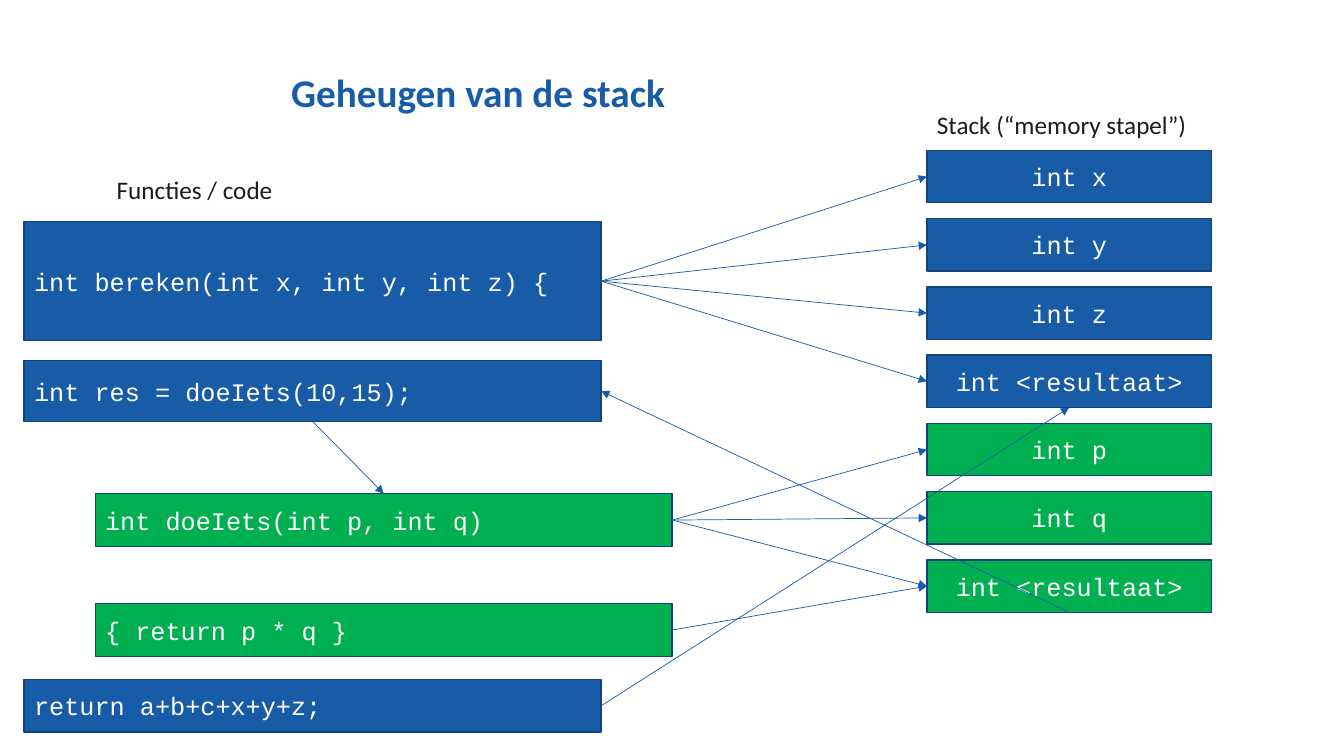
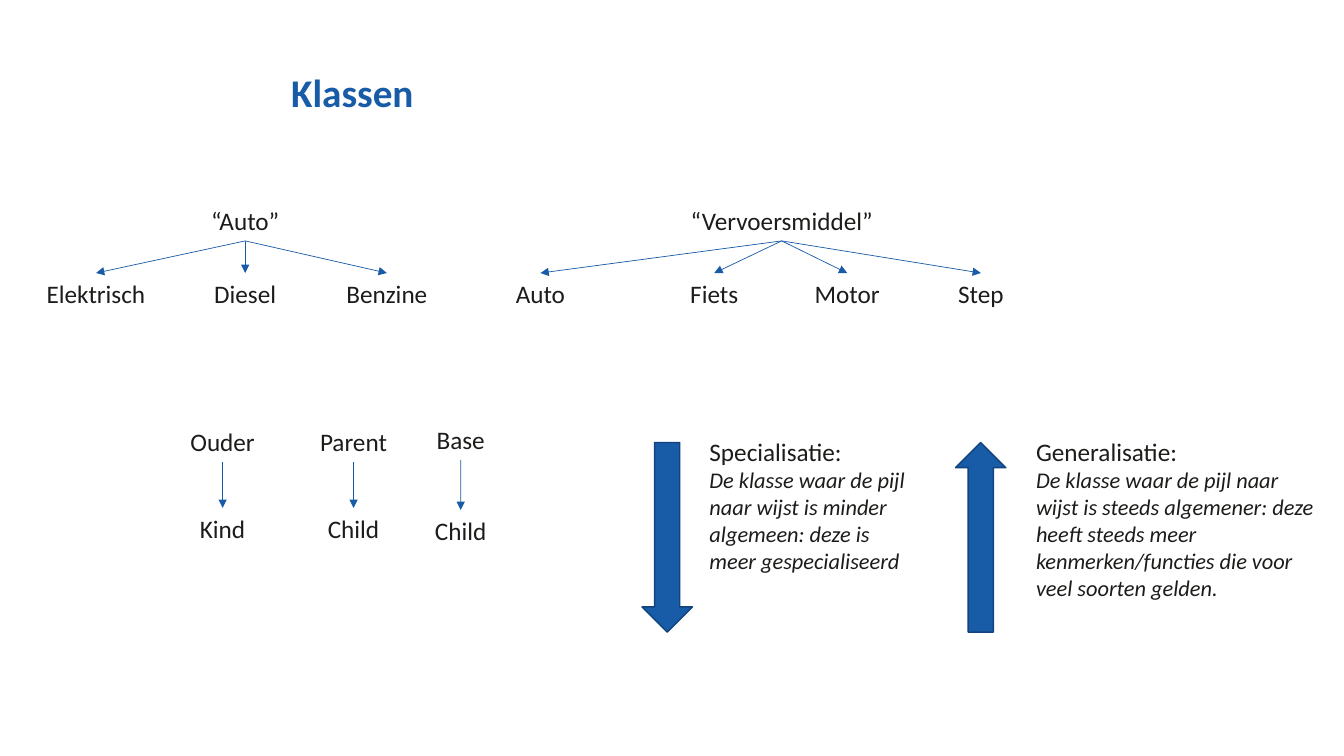
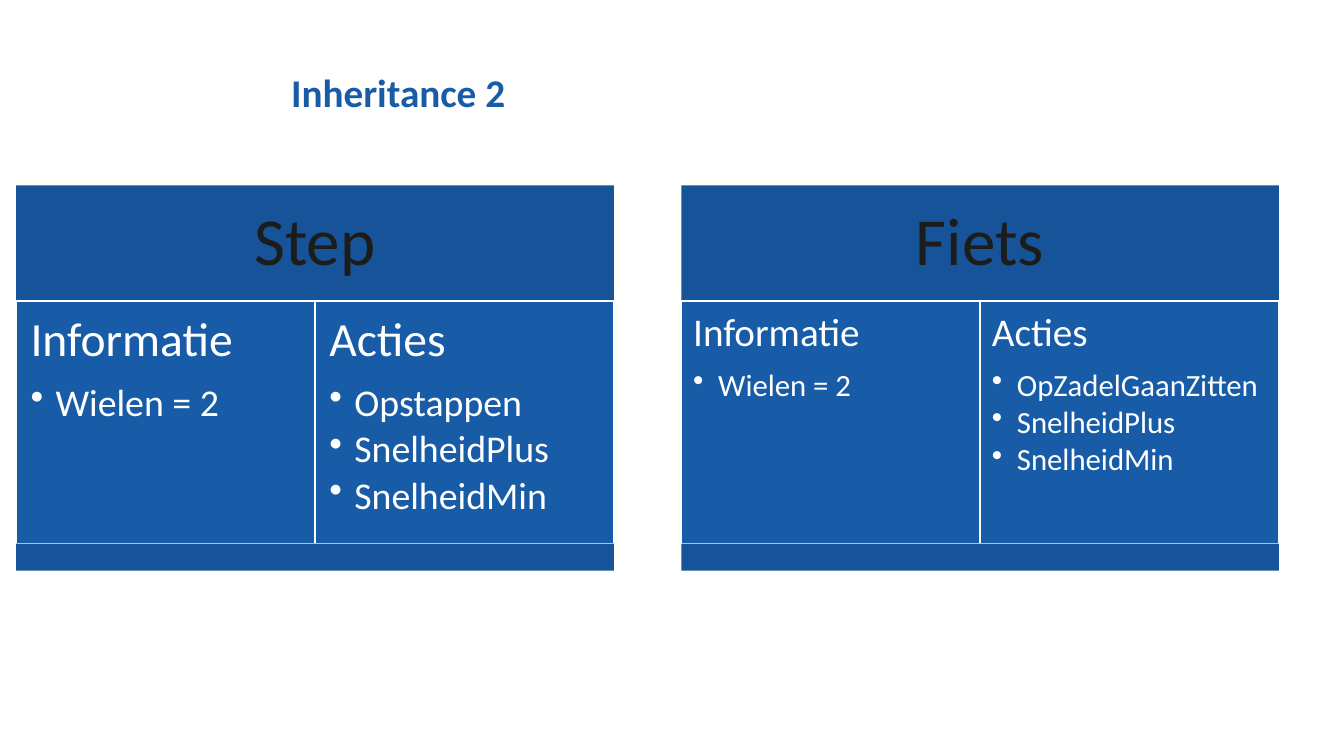
import pptx
import pptx.dml.color
import pptx.enum.shapes
import pptx.enum.text
import pptx.oxml
import pptx.oxml.ns
import pptx.util

Cm = pptx.util.Cm
Pt = pptx.util.Pt
KIND = pptx.enum.shapes.MSO_SHAPE
ALIGN = pptx.enum.text.PP_ALIGN
ANCHOR = pptx.enum.text.MSO_ANCHOR

HUES = {
    "blue": "185BA7",
    "edge": "12437C",
    "deep": "165398",
    "green": "00B050",
    "ink": "1C1C1A",
    "white": "FFFFFF",
}
BODY, CODE = "Calibri", "Courier New"
TOP, LEFT, BOTTOM, RIGHT = range(4)


def hue(name):
    return pptx.dml.color.RGBColor.from_string(HUES[name])


def apply(item, vals):
    for key, val in vals.items():
        setattr(item, key, val)


def node(tag, **vals):
    made = pptx.oxml.parse_xml(f"<a:{tag} {pptx.oxml.ns.nsdecls('a')}/>")
    for key, val in vals.items():
        made.set(key, str(val))
    return made


def line(text, size=18, color="ink", font=BODY, bullet=False, para=None, **face):
    return {"text": text, "color": color, "bullet": bullet, "para": para or {},
            "font": {"size": Pt(size), "name": font, **face}}


def write(shape, lines, inset=None, **frame):
    body = shape.text_frame
    apply(body, {"word_wrap": True, "vertical_anchor": ANCHOR.TOP, **frame})
    if inset is not None:
        sides = ("left", "top", "right", "bottom")
        apply(body, {f"margin_{side}": Cm(inset) for side in sides})
    for num, item in enumerate(lines):
        para = body.add_paragraph() if num else body.paragraphs[0]
        apply(para, {"alignment": ALIGN.LEFT, **item["para"]})
        if item["bullet"]:
            props = para._p.get_or_add_pPr()
            props.set("marL", str(Cm(0.63)))
            props.set("indent", str(-Cm(0.63)))
            props.append(node("buChar", char="•"))
        run = para.add_run()
        run.text = item["text"]
        apply(run.font, item["font"])
        run.font.color.rgb = hue(item["color"])


def label(slide, spot, lines, **frame):
    box = slide.shapes.add_textbox(*map(Cm, spot))
    write(box, lines, **frame)
    return box


def block(slide, spot, fill, edge=None, kind=KIND.RECTANGLE):
    shape = slide.shapes.add_shape(kind, *map(Cm, spot))
    shape.shadow.inherit = False
    shape.fill.solid()
    shape.fill.fore_color.rgb = hue(fill)
    if edge:
        shape.line.color.rgb = hue(edge)
        shape.line.width = Pt(1)
    else:
        shape.line.fill.background()
    return shape


def arrow(slide, start, out, end, into):
    link = slide.shapes.add_connector(
        pptx.enum.shapes.MSO_CONNECTOR.STRAIGHT, 0, 0, 0, 0)
    link.begin_connect(start, out)
    link.end_connect(end, into)
    link.line.color.rgb = hue("blue")
    link.line.width = Pt(0.5)
    props = link.element.spPr
    props.find(pptx.oxml.ns.qn("a:ln")).append(node("tailEnd", type="triangle"))
    props.append(node("effectLst"))


def page(deck, title):
    slide = deck.slides.add_slide(deck.slide_layouts[6])
    text = line(title, 28, "blue", bold=True, para={"line_spacing": 0.9})
    label(slide, (7.34, 1.9, 23.85, 0.97), [text], inset=0,
          vertical_anchor=ANCHOR.MIDDLE)
    return slide


def bar(slide, spot, text, fill, align=ALIGN.LEFT):
    shape = block(slide, spot, fill, "edge")
    write(shape, [line(text, 18, "white", CODE, para={"alignment": align})],
          vertical_anchor=ANCHOR.MIDDLE)
    return shape


def stack(deck):
    slide = page(deck, "Geheugen van de stack")
    label(slide, (2.69, 4.27, 4.5, 1.02), [line("Functies / code")], word_wrap=False)
    label(slide, (23.36, 2.64, 6.86, 1.02), [line("Stack (“memory stapel”)")],
          word_wrap=False)

    rows = [
        ("int bereken(int x, int y, int z) {", "blue", 5.59, 2.99),
        ("int res = doeIets(10,15);", "blue", 9.09, 1.53),
        ("int doeIets(int p, int q)", "green", 12.44, 1.33),
        ("{ return p * q }", "green", 15.21, 1.33),
        ("return a+b+c+x+y+z;", "blue", 17.12, 1.33),
    ]
    lefts = {"blue": 0.61, "green": 2.4}
    calc, call, func, give, done = [
        bar(slide, (lefts[fill], top, 14.54, high), text, fill)
        for text, fill, top, high in rows]

    cells = ["int x", "int y", "int z", "int <resultaat>",
             "int p", "int q", "int <resultaat>"]
    slots = [
        bar(slide, (23.36, 3.79 + 1.72 * num, 7.17, 1.32), text,
            "blue" if num < 4 else "green", ALIGN.CENTER)
        for num, text in enumerate(cells)]

    for start, ends in ((calc, slots[:4]), (func, slots[4:]), (give, slots[6:])):
        for end in ends:
            arrow(slide, start, RIGHT, end, LEFT)
    arrow(slide, done, RIGHT, slots[3], BOTTOM)
    arrow(slide, slots[6], BOTTOM, call, RIGHT)
    arrow(slide, call, BOTTOM, func, TOP)


def tree(slide, top, low, root, kids):
    def leaf(name, mid, wide, high):
        text = line(name, para={"alignment": ALIGN.CENTER})
        return label(slide, (mid - wide / 2, high, wide, 1.02), [text],
                     word_wrap=False)

    head = leaf(*root, top)
    for kid in kids:
        arrow(slide, head, BOTTOM, leaf(*kid, low), TOP)


def classes(deck):
    slide = page(deck, "Klassen")
    trees = [
        (5.05, 6.88, ("“Auto”", 6.18, 2.29),
         [("Elektrisch", 2.42, 3.02), ("Diesel", 6.18, 2.08), ("Benzine", 9.75, 2.59)]),
        (5.05, 6.88, ("“Vervoersmiddel”", 19.7, 5.16),
         [("Auto", 13.62, 1.78), ("Fiets", 18, 1.73),
          ("Motor", 21.35, 2.16), ("Step", 24.72, 1.68)]),
        (10.62, 12.8, ("Ouder", 5.61, 2.16), [("Kind", 5.61, 1.68)]),
        (10.62, 12.8, ("Parent", 8.91, 2.21), [("Child", 8.91, 1.83)]),
        (10.57, 12.85, ("Base", 11.61, 1.73), [("Child", 11.61, 1.83)]),
    ]
    for item in trees:
        tree(slide, *item)

    notes = [
        (16.18, 0, (17.63, 10.87, 5.82, 3.76), "Specialisatie:",
         "De klasse waar de pijl naar wijst is minder algemeen: "
         "deze is meer gespecialiseerd"),
        (24.08, 180, (25.86, 10.87, 7.54, 4.45), "Generalisatie:",
         "De klasse waar de pijl naar wijst is steeds algemener: deze heeft "
         "steeds meer kenmerken/functies die voor veel soorten gelden."),
    ]
    for left, turn, spot, name, text in notes:
        shape = block(slide, (left, 11.15, 1.27, 4.78), "blue", "edge", KIND.DOWN_ARROW)
        shape.rotation = turn
        label(slide, spot, [line(name), line(text, 16, italic=True)])


def card(slide, left, name, acts, big, small, inset):
    wide, half = 15.06, 7.53
    head = block(slide, (left, 4.67, wide, 2.92), "deep")
    write(head, [line(name, 48, para={"alignment": ALIGN.CENTER, "line_spacing": 0.9})],
          inset=0.5, vertical_anchor=ANCHOR.MIDDLE)
    for num, (title, items) in enumerate((("Informatie", ["Wielen = 2"]),
                                          ("Acties", acts))):
        panel = block(slide, (left + num * half, 7.59, half, 6.11), "blue", "white")
        first = {"line_spacing": 0.9, "space_after": Pt(round(big * 0.35))}
        rest = {"line_spacing": 0.9, "space_after": Pt(round(small * 0.15))}
        write(panel, [line(title, big, "white", para=first)]
              + [line(item, small, "white", bullet=True, para=rest) for item in items],
              inset=inset)
    block(slide, (left, 13.7, wide, 0.68), "deep")


def legacy(deck):
    slide = page(deck, "Inheritance 2")
    speed = ["SnelheidPlus", "SnelheidMin"]
    card(slide, 0.41, "Step", ["Opstappen"] + speed, 34, 27, 0.36)
    card(slide, 17.17, "Fiets", ["OpZadelGaanZitten"] + speed, 28, 22, 0.3)


def main():
    deck = pptx.Presentation()
    apply(deck, {"slide_width": Cm(33.87), "slide_height": Cm(19.05)})
    for build in (stack, classes, legacy):
        build(deck)
    deck.save("out.pptx")


if __name__ == "__main__":
    main()
